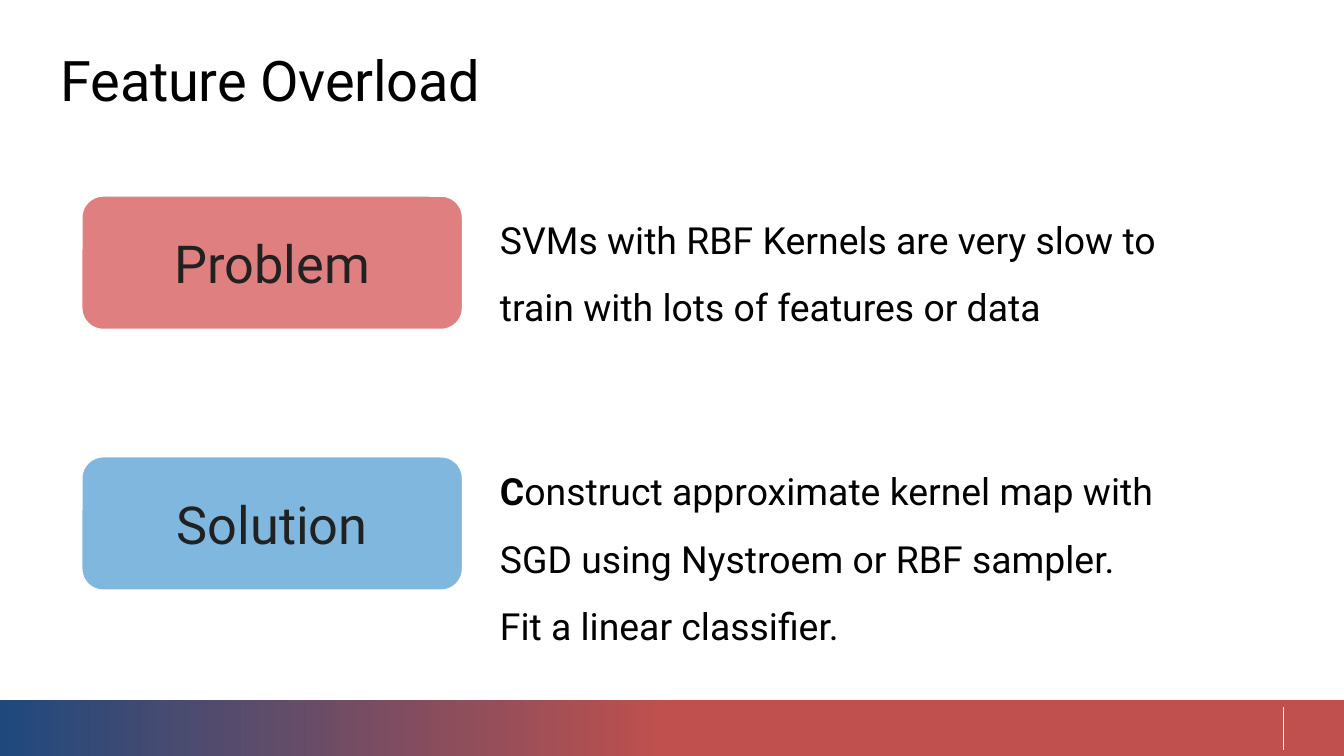
from pptx import Presentation
from pptx.dml.color import RGBColor
from pptx.enum.shapes import MSO_CONNECTOR, MSO_SHAPE
from pptx.enum.text import MSO_ANCHOR, PP_ALIGN
from pptx.oxml.ns import qn
from pptx.util import Inches, Pt
from lxml.etree import SubElement

# Content: paragraphs are lists of (text, bold) spans
TITLE = [[("Feature Overload", False)]]
ROWS = [
    dict(label="Problem", color="C00000", top=1.45, text_top=1.45, text_height=1.13,
         text=[[("SVMs with RBF Kernels are very slow to train with lots of "
                 "features or data", False)]]),
    dict(label="Solution", color="0070C0", top=3.39, text_top=3.32, text_height=1.47,
         text=[[("C", True), ("onstruct approximate kernel map with SGD using "
                              "Nystroem or RBF sampler.", False)],
               [("Fit a linear classifier.", False)]]),
]
WIDTH = 10
HEIGHT = WIDTH * 9 / 16
BAR_TOP = 5.21
GRADIENT = [(0, "1F497D"), (0.5, "C0504D")]
TITLE_FORMAT = dict(name="Roboto", size=Pt(30))
TEXT_FORMAT = dict(name="Roboto", size=Pt(20))
LABEL_FORMAT = dict(name="Roboto", size=Pt(28))


def rgb(value):
    return RGBColor.from_string(value)


def write(frame, paragraphs, font_format, color="000000", spacing=None, align=PP_ALIGN.LEFT):
    frame.word_wrap = True
    for index, spans in enumerate(paragraphs):
        para = frame.paragraphs[0] if index == 0 else frame.add_paragraph()
        para.alignment = align
        para.line_spacing = spacing
        for text, bold in spans:
            span = para.add_run()
            span.text = text
            for name, value in dict(font_format, bold=bold).items():
                setattr(span.font, name, value)
            span.font.color.rgb = rgb(color)


def add_text(page, place, paragraphs, font_format, spacing=None):
    frame = page.shapes.add_textbox(*map(Inches, place)).text_frame
    for side in ("left", "top", "right", "bottom"):
        setattr(frame, f"margin_{side}", 0)
    write(frame, paragraphs, font_format, spacing=spacing)
    # Small left indent shared by all plain text
    for para in frame.paragraphs:
        para._p.get_or_add_pPr().set("marL", str(Inches(0.01)))
    return frame


def add_label(page, place, label, color):
    box = page.shapes.add_shape(MSO_SHAPE.ROUNDED_RECTANGLE, *map(Inches, place))
    box.shadow.inherit = False
    box.fill.solid()
    box.fill.fore_color.rgb = rgb(color)
    fill_color = box._element.spPr.find(qn("a:solidFill"))[0]
    SubElement(fill_color, qn("a:alpha")).set("val", "50000")
    box.line.color.rgb = rgb("FFFFFF")
    box.line.width = Pt(2)
    box.text_frame.vertical_anchor = MSO_ANCHOR.MIDDLE
    write(box.text_frame, [[(label, False)]], LABEL_FORMAT, "212121", align=PP_ALIGN.CENTER)


def add_footer(page):
    bar = page.shapes.add_shape(MSO_SHAPE.RECTANGLE, 0, Inches(BAR_TOP),
                                Inches(WIDTH), Inches(HEIGHT - BAR_TOP))
    bar.shadow.inherit = False
    bar.line.fill.background()
    bar.fill.gradient()
    bar.fill.gradient_angle = 0
    for stop, (position, color) in zip(bar.fill.gradient_stops, GRADIENT):
        stop.position = position
        stop.color.rgb = rgb(color)
    # Divider near the right end of the bar
    divider = page.shapes.add_connector(MSO_CONNECTOR.STRAIGHT,
                                        *map(Inches, (9.55, 5.26, 9.55, 5.58)))
    divider.line.color.rgb = rgb("FFFFFF")
    divider.line.width = Pt(0.75)
    SubElement(divider._element.spPr, qn("a:effectLst"))


deck = Presentation()
deck.slide_width, deck.slide_height = Inches(WIDTH), Inches(HEIGHT)
page = deck.slides.add_slide(deck.slide_layouts[6])

add_footer(page)

# Title with slightly tightened letters
title = add_text(page, (0.44, 0.34, 9.23, 0.5), TITLE, TITLE_FORMAT)
title.paragraphs[0].runs[0]._r.get_or_add_rPr().set("spc", "-10")

# One label and its explanation per row
for row in ROWS:
    add_label(page, (0.6, row["top"], 2.85, 1.01), row["label"], row["color"])
    add_text(page, (3.71, row["text_top"], 5.21, row["text_height"]),
             row["text"], TEXT_FORMAT, spacing=1.5)

deck.save("out.pptx")
